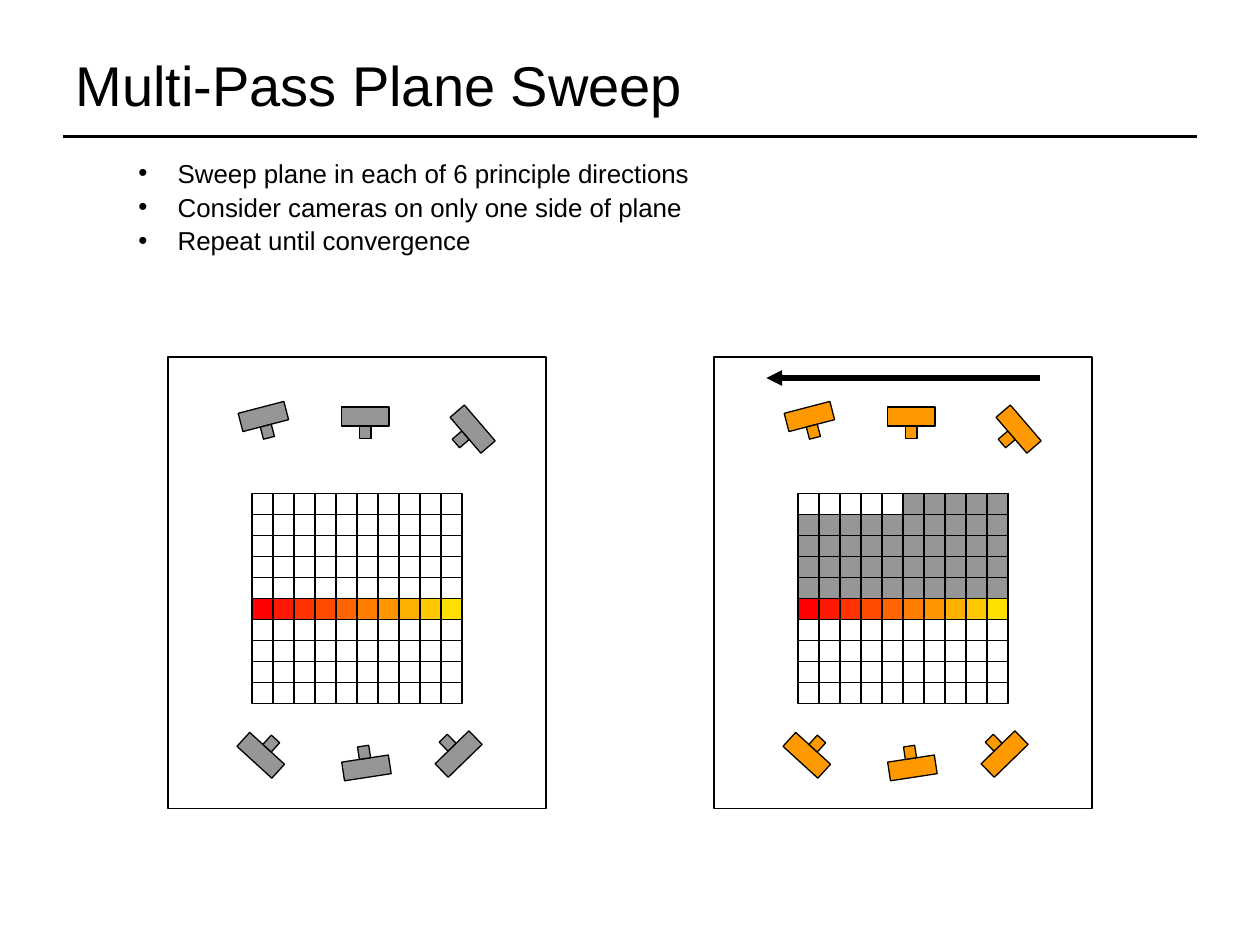
from dataclasses import dataclass
from math import cos, radians, sin
from typing import Optional

from lxml.etree import SubElement
from pptx import Presentation
from pptx.dml.color import RGBColor
from pptx.enum.shapes import MSO_CONNECTOR as Connector, MSO_SHAPE as Shape
from pptx.enum.text import MSO_ANCHOR as Anchor
from pptx.oxml.ns import qn
from pptx.slide import Slide
from pptx.text.text import TextFrame
from pptx.util import Pt

COLORS = {"ink": "000000", "paper": "FFFFFF", "gray": "969696", "orange": "FF9900"}
FONT = "Arial"
PANEL_TOP, PANEL_WIDTH, PANEL_HEIGHT = 204, 216, 258
GRID_INSET, GRID_TOP, CELL, CELL_COUNT = 48, 282, 12, 10
GRID_SIZE = CELL * CELL_COUNT
SWEEP_ROW = 5
BODY_WIDTH, BODY_HEIGHT = 27, 10.8
LENS_WIDTH, LENS_HEIGHT = 6.5, 7.2
BULLETS = [
    "Sweep plane in each of 6 principle directions",
    "Consider cameras on only one side of plane",
    "Repeat until convergence",
]


@dataclass(frozen=True)
class Camera:
    x: float
    y: float
    angle: float


@dataclass(frozen=True)
class Panel:
    left: float
    camera_color: str
    visited_from: tuple[int, ...] = ()


CAMERAS = [
    Camera(53, 431.6, 42.4),
    Camera(166.1, 430.9, 315.8),
    Camera(174.1, 245.2, 229.3),
    Camera(112.8, 238, 180),
    Camera(54.5, 238, 165.4),
    Camera(113.4, 438.8, 351.3),
]
PANELS = [
    Panel(96, COLORS["gray"]),
    Panel(408, COLORS["orange"], (5, 0, 0, 0, 0)),
]


def add_rectangle(slide: Slide, left: float, top: float, width: float, height: float,
                  fill: Optional[str], line_width: float, rotation: float = 0) -> None:
    shape = slide.shapes.add_shape(Shape.RECTANGLE, Pt(left), Pt(top), Pt(width), Pt(height))
    shape.shadow.inherit = False
    shape.rotation = rotation
    if fill:
        shape.fill.solid()
        shape.fill.fore_color.rgb = RGBColor.from_string(fill)
    else:
        shape.fill.background()
    shape.line.color.rgb = RGBColor.from_string(COLORS["ink"])
    shape.line.width = Pt(line_width)


def add_line(slide: Slide, x1: float, y1: float, x2: float, y2: float,
             width: float, arrow: bool = False) -> None:
    connector = slide.shapes.add_connector(Connector.STRAIGHT, Pt(x1), Pt(y1), Pt(x2), Pt(y2))
    connector.line.color.rgb = RGBColor.from_string(COLORS["ink"])
    connector.line.width = Pt(width)
    if arrow:
        SubElement(connector.line._get_or_add_ln(), qn("a:tailEnd"), type="triangle")
    SubElement(connector._element.spPr, qn("a:effectLst"))


def add_text_frame(slide: Slide, left: float, top: float, width: float, height: float,
                   anchor: Anchor) -> TextFrame:
    text_frame = slide.shapes.add_textbox(Pt(left), Pt(top), Pt(width), Pt(height)).text_frame
    text_frame.word_wrap = True
    text_frame.vertical_anchor = anchor
    return text_frame


def add_run(paragraph, text: str, size: float) -> None:
    run = paragraph.add_run()
    run.text = text
    run.font.name = FONT
    run.font.size = Pt(size)
    run.font.color.rgb = RGBColor.from_string(COLORS["ink"])


def add_bullets(slide: Slide) -> None:
    text_frame = add_text_frame(slide, 36, 90, 648, 60, Anchor.TOP)
    for index, text in enumerate(BULLETS):
        paragraph = text_frame.add_paragraph() if index else text_frame.paragraphs[0]
        properties = paragraph._p.get_or_add_pPr()
        properties.set("marL", str(Pt(58.5)))
        properties.set("indent", str(Pt(-22.5)))
        bullet_color = SubElement(properties, qn("a:buClr"))
        SubElement(bullet_color, qn("a:srgbClr"), val=COLORS["ink"])
        SubElement(properties, qn("a:buFont"), typeface=FONT)
        SubElement(properties, qn("a:buChar"), char="•")
        paragraph.line_spacing = 0.8
        paragraph.space_before = Pt(5 if index else 0)
        add_run(paragraph, text, 14.8)


def add_camera(slide: Slide, camera: Camera, panel: Panel) -> None:
    x, y = panel.left + camera.x, camera.y
    reach = (BODY_HEIGHT + LENS_HEIGHT) / 2
    lens_x = x + reach * sin(radians(camera.angle))
    lens_y = y - reach * cos(radians(camera.angle))
    for center_x, center_y, width, height in (
        (x, y, BODY_WIDTH, BODY_HEIGHT),
        (lens_x, lens_y, LENS_WIDTH, LENS_HEIGHT),
    ):
        add_rectangle(slide, center_x - width / 2, center_y - height / 2, width, height,
                      panel.camera_color, 0.75, camera.angle)


def add_cell(slide: Slide, panel: Panel, row: int, column: int, fill: str) -> None:
    add_rectangle(slide, panel.left + GRID_INSET + column * CELL, GRID_TOP + row * CELL,
                  CELL, CELL, fill, 1)


def add_panel(slide: Slide, panel: Panel) -> None:
    add_rectangle(slide, panel.left, PANEL_TOP, PANEL_WIDTH, PANEL_HEIGHT, COLORS["paper"], 1)
    for camera in CAMERAS:
        add_camera(slide, camera, panel)

    grid_left = panel.left + GRID_INSET
    add_rectangle(slide, grid_left, GRID_TOP, GRID_SIZE, GRID_SIZE, None, 0.75)
    for offset in range(CELL, GRID_SIZE, CELL):
        add_line(slide, grid_left + offset, GRID_TOP,
                 grid_left + offset, GRID_TOP + GRID_SIZE, 0.75)
        add_line(slide, grid_left, GRID_TOP + offset,
                 grid_left + GRID_SIZE, GRID_TOP + offset, 0.75)

    for row, first_column in enumerate(panel.visited_from):
        for column in range(first_column, CELL_COUNT):
            add_cell(slide, panel, row, column, COLORS["gray"])
    for column in range(CELL_COUNT):
        add_cell(slide, panel, SWEEP_ROW, column, f"FF{25 * column:02X}00")


def main() -> None:
    presentation = Presentation()
    presentation.slide_width, presentation.slide_height = Pt(720), Pt(540)
    slide = presentation.slides.add_slide(presentation.slide_layouts[6])

    add_line(slide, 36, 78, 684, 78, 1.75)
    title = add_text_frame(slide, 36, 12.24, 648, 72, Anchor.MIDDLE)
    add_run(title.paragraphs[0], "Multi-Pass Plane Sweep", 32)
    add_bullets(slide)
    for panel in PANELS:
        add_panel(slide, panel)
    add_line(slide, 594, 216, 438, 216, 3, arrow=True)

    presentation.save("out.pptx")


if __name__ == "__main__":
    main()
